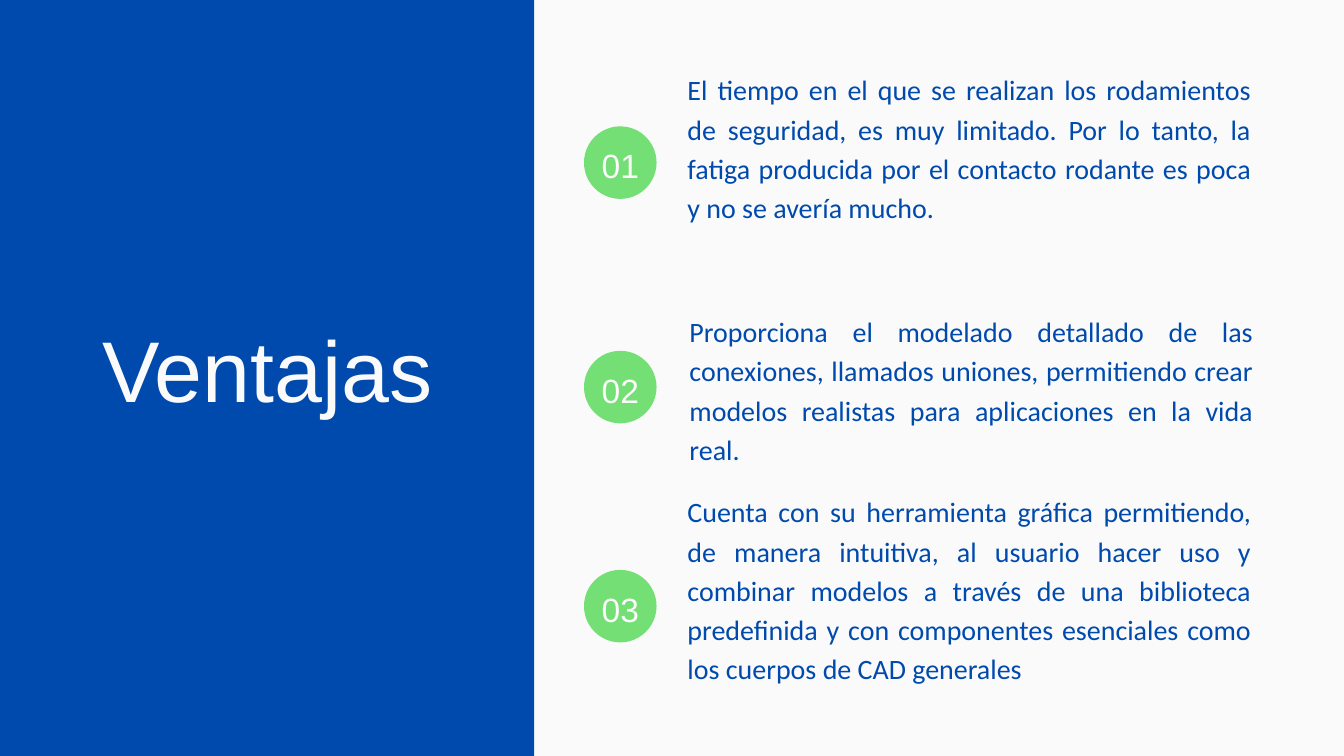
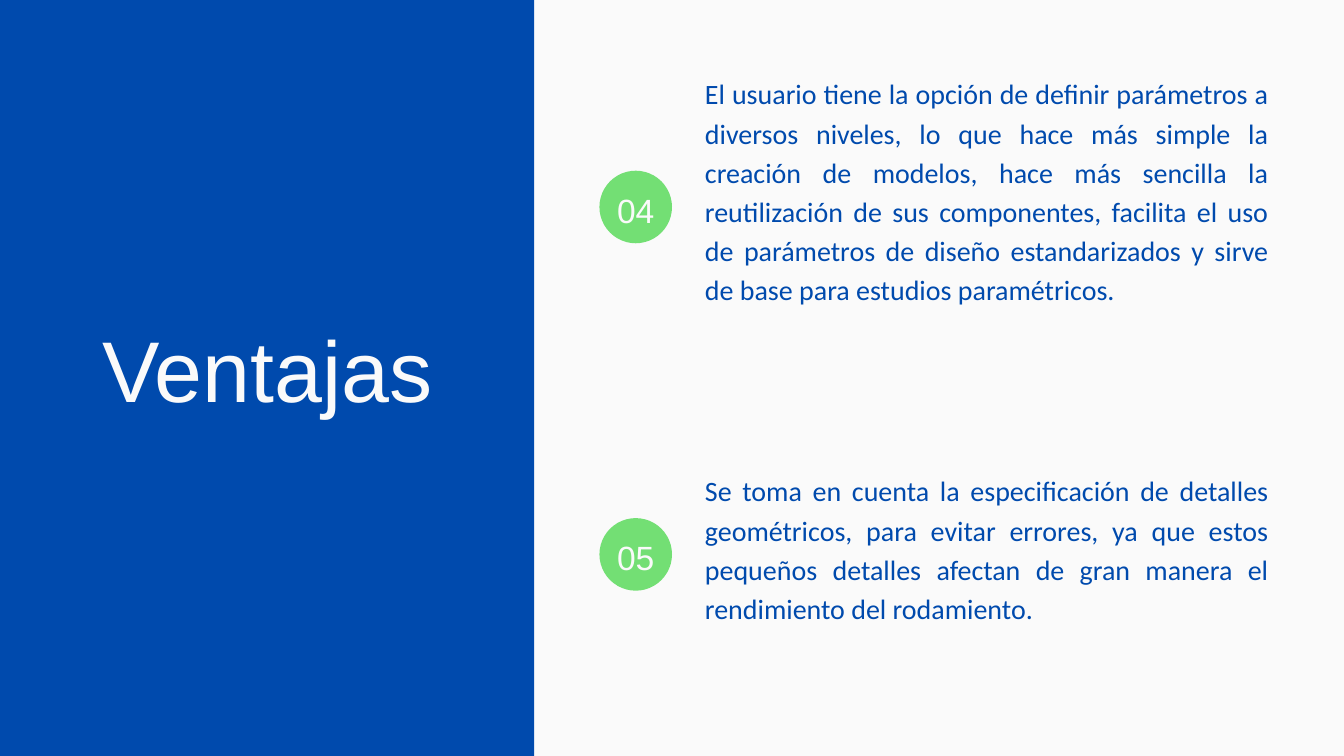
from collections import namedtuple
from dataclasses import dataclass

from pptx import Presentation
from pptx.dml.color import RGBColor
from pptx.enum import shapes, text
from pptx.util import Inches, Pt


@dataclass(frozen=True)
class Theme:
    blue: RGBColor = RGBColor.from_string("004AAD")
    green: RGBColor = RGBColor.from_string("73DF74")
    light: RGBColor = RGBColor.from_string("FAFAFA")
    display_font: str = "Arial"
    body_font: str = "Calibri"
    title_size: float = 92.3
    number_size: float = 36
    body_size: float = 30


THEME = Theme()
Box = namedtuple("Box", "left top width height")
Advantage = namedtuple("Advantage", "badge_top left top height wording")

SLIDE = Box(0, 0, 20, 11.25)
PANEL = Box(0, 0, 7.95, SLIDE.height)
BADGE_SIZE = 1.08
BODY_WIDTH = 8.39
TITLE_ONLY = 5

# Each slide: left edge of its badges, then its advantages
SLIDES = [
    (8.69, [
        Advantage(1.88, 10.23, 1, 2.91,
                  "El tiempo en el que se realizan los rodamientos de seguridad, es muy "
                  "limitado. Por lo tanto, la fatiga producida por el contacto rodante es "
                  "poca y no se avería mucho."),
        Advantage(5.22, 10.26, 4.6, 2.27,
                  "Proporciona el modelado detallado de las conexiones, llamados uniones, "
                  "permitiendo crear modelos realistas para aplicaciones en la vida real."),
        Advantage(8.48, 10.23, 7.28, 3.42,
                  "Cuenta con su herramienta gráfica permitiendo, de manera intuitiva, al "
                  "usuario hacer uso y combinar modelos a través de una biblioteca "
                  "predefinida y con componentes esenciales como los cuerpos de CAD generales"),
    ]),
    (8.92, [
        Advantage(2.54, 10.49, 1.06, 4.56,
                  "El usuario tiene la opción de definir parámetros a diversos niveles, lo "
                  "que hace más simple la creación de modelos, hace más sencilla la "
                  "reutilización de sus componentes, facilita el uso de parámetros de diseño "
                  "estandarizados y sirve de base para estudios paramétricos."),
        Advantage(7.71, 10.49, 6.97, 2.84,
                  "Se toma en cuenta la especificación de detalles geométricos, para evitar "
                  "errores, ya que estos pequeños detalles afectan de gran manera el "
                  "rendimiento del rodamiento."),
    ]),
]


def inches(box):
    return [Inches(length) for length in box]


def add_solid(parent, preset, box, color):
    solid = parent.add_shape(preset, *inches(box))
    solid.shadow.inherit = False
    solid.fill.solid()
    solid.fill.fore_color.rgb = color
    solid.line.fill.background()
    return solid


def write(holder, wording, font, size, color, align, line_pitch):
    """Put one paragraph in a holder without margins, at an exact line pitch."""
    frame = holder.text_frame
    frame.margin_left = frame.margin_top = frame.margin_right = frame.margin_bottom = 0
    frame.word_wrap = True
    frame.vertical_anchor = text.MSO_ANCHOR.TOP
    frame.auto_size = text.MSO_AUTO_SIZE.SHAPE_TO_FIT_TEXT
    paragraph = frame.paragraphs[0]
    paragraph.text = wording
    paragraph.alignment = align
    paragraph.line_spacing = Pt(line_pitch)
    paragraph.space_before = Pt(0)
    paragraph.font.name = font
    paragraph.font.size = Pt(size)
    paragraph.font.color.rgb = color


def add_title_panel(slide, box, wording):
    title = slide.shapes.title
    title.left, title.top, title.width, title.height = inches(
        Box(box.left + 0.43, box.top + 4.58, 7.1, 1.64))
    write(title, wording, THEME.display_font, THEME.title_size, THEME.light,
          text.PP_ALIGN.CENTER, 120)
    panel = add_solid(slide.shapes, shapes.MSO_SHAPE.RECTANGLE, box, THEME.blue)
    title.element.addprevious(panel.element)  # the panel lies behind the title


def add_badge(slide, box, number):
    badge = slide.shapes.add_group_shape().shapes
    add_solid(badge, shapes.MSO_SHAPE.OVAL, box, THEME.green)
    label = badge.add_textbox(*inches(
        Box(box.left + 0.18, box.top + 0.18, box.width - 0.36, 0.65)))
    write(label, f"{number:02}", THEME.display_font, THEME.number_size, THEME.light,
          text.PP_ALIGN.CENTER, 50.4)


def add_body(slide, box, wording):
    body = slide.shapes.add_textbox(*inches(box))
    write(body, wording, THEME.body_font, THEME.body_size, THEME.blue,
          text.PP_ALIGN.JUSTIFY, 42)


def add_advantages_slide(prs, badge_left, advantages, first_number):
    slide = prs.slides.add_slide(prs.slide_layouts[TITLE_ONLY])
    add_title_panel(slide, PANEL, "Ventajas")
    for number, item in enumerate(advantages, first_number):
        add_body(slide, Box(item.left, item.top, BODY_WIDTH, item.height), item.wording)
        add_badge(slide, Box(badge_left, item.badge_top, BADGE_SIZE, BADGE_SIZE), number)


def main():
    prs = Presentation()
    prs.slide_width, prs.slide_height = Inches(SLIDE.width), Inches(SLIDE.height)
    background = prs.slide_master.background.fill
    background.solid()
    background.fore_color.rgb = THEME.light

    first_number = 1
    for badge_left, advantages in SLIDES:
        add_advantages_slide(prs, badge_left, advantages, first_number)
        first_number += len(advantages)
    prs.save("out.pptx")


if __name__ == "__main__":
    main()
